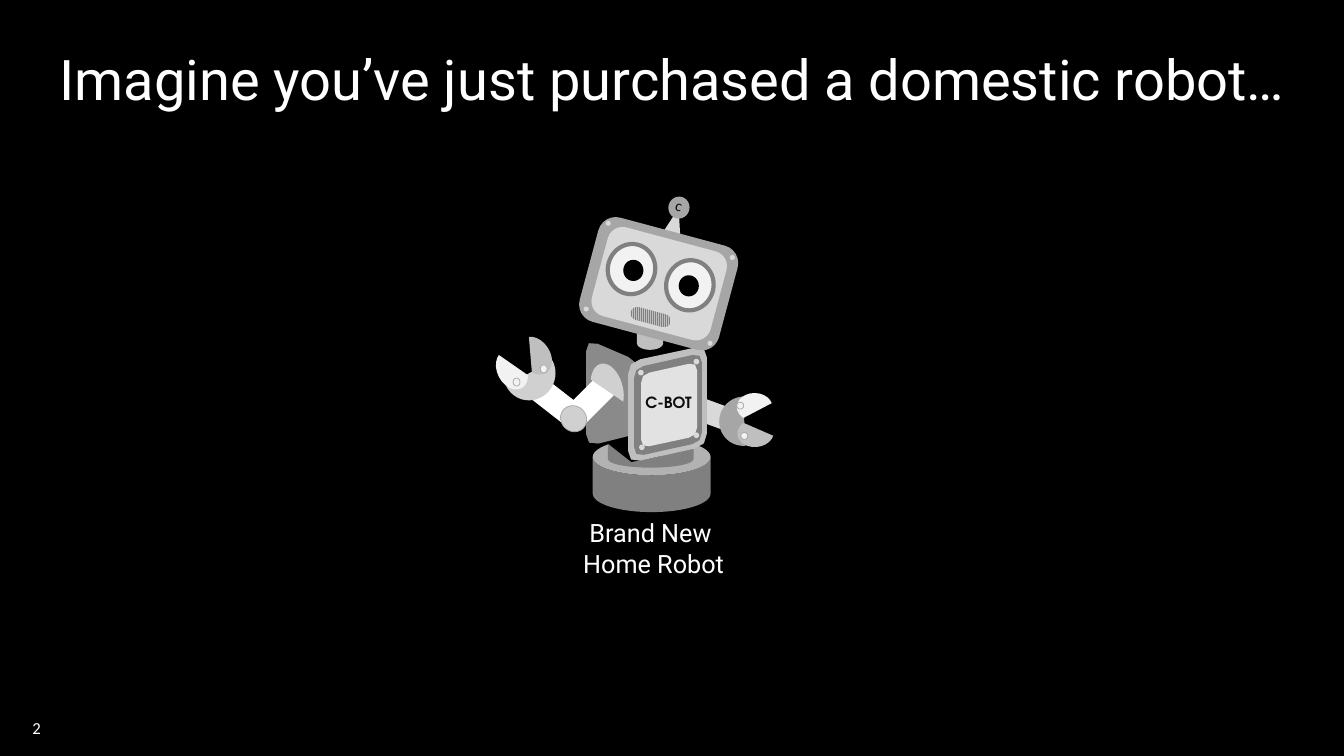
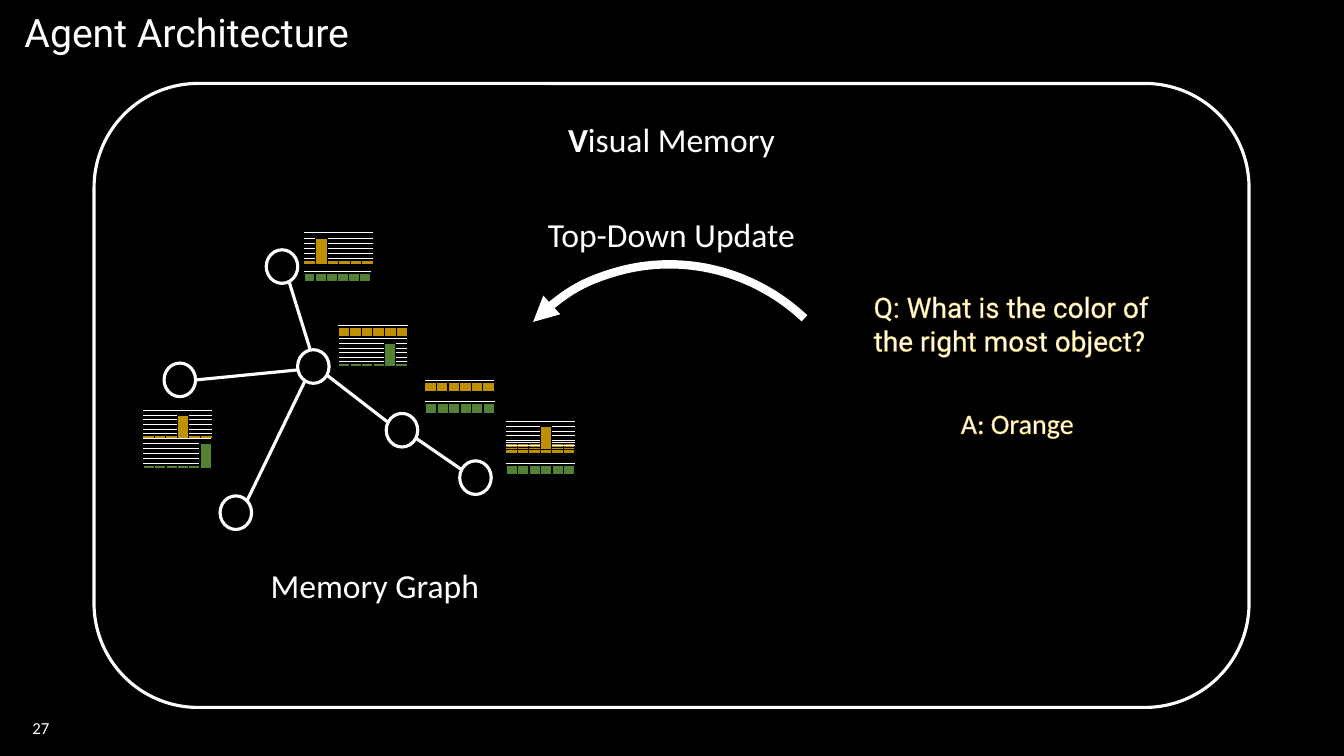
from dataclasses import dataclass
from typing import Any, Optional

from lxml.etree import SubElement
from pptx import Presentation
from pptx.chart.data import CategoryChartData
from pptx.dml.color import RGBColor
from pptx.enum.chart import XL_CHART_TYPE
from pptx.enum.dml import MSO_PATTERN
from pptx.enum.shapes import MSO_CONNECTOR, MSO_SHAPE
from pptx.enum.text import MSO_ANCHOR, PP_ALIGN
from pptx.oxml import parse_xml
from pptx.oxml.ns import nsdecls, qn
from pptx.util import Pt

COLORS = {
    "black": "000000", "ink": "0D0D0D", "white": "FFFFFF", "pale": "F2F2F2",
    "plate": "E2E2E2", "light": "D9D9D9", "lit": "D0D0D0", "silver": "BFBFBF",
    "mid": "A6A6A6", "dark": "808080", "side": "8A8A8A", "orange": "BF9000",
    "green": "548235", "gold": "EFB900",
}
RECT, ROUND, OVAL = MSO_SHAPE.RECTANGLE, MSO_SHAPE.ROUNDED_RECTANGLE, MSO_SHAPE.OVAL
CHORD, CAN = MSO_SHAPE.CHORD, MSO_SHAPE.CAN
PALM, CLAW, ELBOW, SHOULDER = (27, 136.04), (27, 153.86), (140.74, 136.04), (27, 139.89)
LABEL = {"name": "Calibri", "size": Pt(24)}
Point = tuple[float, float]


@dataclass
class Part:
    """A preset shape; lengths in points, rotation in degrees."""
    kind: MSO_SHAPE
    left: float
    top: float
    width: float
    height: float
    fill: Optional[str] = None
    rot: float = 0
    adj: tuple[float, ...] = ()
    flip: bool = False
    line: Optional[str] = None
    weight: float = 0


@dataclass
class Panel:
    """A slanted panel; a radius above 0 rounds its corners."""
    corners: list[Point]
    radius: float
    fill: str


@dataclass
class MemoryChart:
    """A six-bar chart; peak is the tall bar, or None when all are tall."""
    left: float
    top: float
    height: float
    color: str
    peak: Optional[int] = None
    width: float = 50.4


def rgb(name: str) -> RGBColor:
    return RGBColor.from_string(COLORS[name])


def set_format(target: Any, values: dict[str, Any]) -> None:
    for key, value in values.items():
        setattr(target, key, value)


def add_run(p: Any, text: str, font: dict[str, Any], color: str = "white",
            outline: Optional[str] = None) -> None:
    r = p.add_run()
    r.text = text
    set_format(r.font, font)
    r.font.color.rgb = rgb(color)
    if outline:
        r.font._element.insert(0, parse_xml(
            f'<a:ln {nsdecls("a")} w="{Pt(0.75)}"><a:solidFill>'
            f'<a:srgbClr val="{COLORS[outline]}"/></a:solidFill></a:ln>'))


def add_text(s: Any, lines: list[str], box: tuple[float, ...], font: dict[str, Any],
             color: str = "white", align: PP_ALIGN = PP_ALIGN.LEFT,
             anchor: MSO_ANCHOR = MSO_ANCHOR.TOP, wrap: bool = True, rot: float = 0,
             spacing: Optional[float] = None, outline: Optional[str] = None) -> None:
    sp = s.shapes.add_textbox(*map(Pt, box))
    sp.rotation = rot
    tf = sp.text_frame
    set_format(tf, {"word_wrap": wrap, "vertical_anchor": anchor})
    for i, text in enumerate(lines):
        p = tf.add_paragraph() if i else tf.paragraphs[0]
        set_format(p, {"alignment": align, "line_spacing": spacing})
        add_run(p, text, font, color, outline)


def paint(sp: Any, fill: Optional[str], line: Optional[str] = None, weight: float = 0) -> None:
    sp.shadow.inherit = False
    if fill:
        sp.fill.solid()
        sp.fill.fore_color.rgb = rgb(fill)
    else:
        sp.fill.background()
    if line:
        sp.line.color.rgb = rgb(line)
        sp.line.width = Pt(weight)
    else:
        sp.line.fill.background()


def add_part(s: Any, part: Part) -> Any:
    sp = s.shapes.add_shape(part.kind, *map(Pt, (part.left, part.top, part.width, part.height)))
    sp.rotation = part.rot
    for i, value in enumerate(part.adj):
        sp.adjustments[i] = value
    if part.flip:
        sp._element.spPr.find(qn("a:xfrm")).set("flipH", "1")
    paint(sp, part.fill, part.line, part.weight)
    return sp


def toward(a: Point, b: Point, distance: float) -> Point:
    length = ((b[0] - a[0]) ** 2 + (b[1] - a[1]) ** 2) ** 0.5
    return tuple(m + (n - m) * distance / length for m, n in zip(a, b))


def add_panel(s: Any, panel: Panel) -> None:
    outline, c = [], panel.corners
    for i, corner in enumerate(c):
        if not panel.radius:
            outline.append(corner)
            continue
        start = toward(corner, c[i - 1], panel.radius)
        end = toward(corner, c[(i + 1) % len(c)], panel.radius)
        bend = tuple((a + 2 * b + d) / 4 for a, b, d in zip(start, corner, end))
        outline += [start, bend, end]
    points = [(Pt(x), Pt(y)) for x, y in outline]
    builder = s.shapes.build_freeform(*points[0], scale=1.0)
    builder.add_line_segments(points[1:], close=True)
    paint(builder.convert_to_shape(), panel.fill)


def add_edge(s: Any, start: Point, end: Point) -> None:
    sp = s.shapes.add_connector(MSO_CONNECTOR.STRAIGHT, *map(Pt, start + end))
    sp.line.color.rgb = rgb("white")
    sp.line.width = Pt(2.25)
    SubElement(sp._element.spPr, qn("a:effectLst"))


def add_memory_chart(s: Any, item: MemoryChart) -> None:
    data = CategoryChartData()
    data.categories = [str(n) for n in range(1, 7)]
    data.add_series("Series 1", [100 if item.peak in (None, n) else 12 for n in range(1, 7)])
    chart = s.shapes.add_chart(XL_CHART_TYPE.COLUMN_CLUSTERED, *map(
        Pt, (item.left, item.top, item.width, item.height)), data).chart
    set_format(chart, {"has_legend": False, "has_title": False})
    set_format(chart.font, {"name": "Calibri", "size": Pt(10)})
    chart.font.color.rgb = rgb("white")
    green = item.color == "green"
    plot = chart.plots[0]
    set_format(plot, {"gap_width": 0, "overlap": -17 if green else 0,
                      "vary_by_categories": False})
    fmt = plot.series[0].format
    fmt.fill.solid()
    fmt.fill.fore_color.rgb = rgb(item.color)
    fmt.line.color.rgb = rgb("black")
    fmt.line.width = Pt(1 if green else 0.75)
    chart.value_axis.has_major_gridlines = True
    grid = chart.value_axis.major_gridlines.format.line
    grid.color.rgb = rgb("white")
    grid.width = Pt(0.75)
    chart.category_axis.visible = chart.value_axis.visible = False
    # Plot fills the whole frame, on a clear background
    area = chart._chartSpace.chart.plotArea
    for old in area.findall(qn("c:layout")):
        area.remove(old)
    sizes = "".join(f'<c:{k} val="{v}"/>' for k, v in (
        ("layoutTarget", "inner"), ("xMode", "edge"), ("yMode", "edge"),
        ("x", 0), ("y", 0), ("w", 1), ("h", 1)))
    area.insert(0, parse_xml(f'<c:layout {nsdecls("c")}><c:manualLayout>{sizes}'
                             '</c:manualLayout></c:layout>'))
    clear = f'<c:spPr {nsdecls("c", "a")}><a:noFill/><a:ln><a:noFill/></a:ln></c:spPr>'
    border = (f'<c:spPr {nsdecls("c", "a")}><a:noFill/><a:ln w="{Pt(0.75)}"><a:solidFill>'
              f'<a:srgbClr val="{COLORS["black"]}"/></a:solidFill></a:ln></c:spPr>')
    area.append(parse_xml(clear))
    chart._chartSpace.chart.addnext(parse_xml(border if green else clear))


def new_slide(prs: Any, number: str, title: str, box: tuple[float, ...], size: float,
              align: PP_ALIGN) -> Any:
    s = prs.slides.add_slide(prs.slide_layouts[6])
    s.background.fill.solid()
    s.background.fill.fore_color.rgb = rgb("black")
    add_text(s, [title], box, {"name": "Roboto", "size": Pt(size)}, align=align,
             anchor=MSO_ANCHOR.MIDDLE, spacing=0.9)
    add_text(s, [number], (16, 505.4, 216, 28.8), {"name": "Calibri", "size": Pt(12)},
             anchor=MSO_ANCHOR.MIDDLE)
    return s


def dots(places: list[Point], width: float, height: float, fill: str, **more: Any) -> list[Part]:
    return [Part(OVAL, x, y, width, height, fill, **more) for x, y in places]


RIGHT_ARM_AND_BASE = [
    Part(RECT, 493.9, 286.6, 26.6, 16.6, "light", 20.1, flip=True),
    Part(CHORD, 513.6, 283.3, 35.5, 35, "mid", 132.9, PALM, True),
    Part(CHORD, 529, 278, 20, 25.5, "pale", 90.7, CLAW),
    Part(CHORD, 529.7, 296.3, 20, 26, "silver", 85.2, CLAW, True),
    *dots([(529.2, 308.9), (526.3, 287.3)], 5, 5, "pale", line="mid", weight=0.5),
    Part(CAN, 423.4, 313.2, 84.2, 52.6, "dark", adj=(0.5,)),
    Part(CAN, 434.2, 309.6, 61.2, 24.5, "dark", adj=(0.5,)),
]
BODY = [
    Panel([(428, 312), (457, 306), (471, 326), (451, 330)], 0, "black"),
    Panel([(428, 244), (478, 233), (500, 249), (457, 257)], 0, "black"),
    Panel([(418.6, 242), (457, 258.5), (457, 309.5), (418.6, 319)], 9, "side"),
    Panel([(448.6, 258.5), (505, 246.5), (505, 318.5), (448.6, 331)], 9, "silver"),
    Panel([(452.9, 263), (501.4, 252), (501.4, 315.7), (452.9, 326.4)], 7, "dark"),
    Panel([(457.9, 267.5), (497.9, 258.6), (497.9, 311.4), (457.9, 320)], 6, "plate"),
]
LEFT_ARM_AND_HEAD = [
    *dots([(455.8, 264.2), (456.5, 317.5), (495.4, 308.9), (495.4, 256.3)], 4, 4, "light"),
    Part(CAN, 455, 225.4, 18.7, 24.5, "silver", adj=(0.5,)),
    Part(RECT, 383, 278.6, 28.8, 18, "white", 37.9),
    Part(ROUND, 397.4, 277.9, 47.5, 18, "white", 315, (0.5,)),
    Part(CHORD, 359, 248.2, 38.4, 37.2, "lit", 285, PALM),
    Part(CHORD, 355.2, 249.8, 21, 29.2, "pale", 332.8, CLAW),
    Part(CHORD, 372, 239.5, 21, 29.2, "silver", 327.2, CLAW, True),
    Part(CHORD, 400.8, 289.4, 18, 19.4, "lit", 315, ELBOW, line="mid", weight=0.5),
    Part(CHORD, 422.6, 259.2, 22.3, 37.4, "lit", 165, SHOULDER),
    *dots([(366.5, 270), (385.9, 260.6)], 5, 5.8, "pale", line="mid", weight=0.5),
    Part(MSO_SHAPE.ISOSCELES_TRIANGLE, 475.2, 148.3, 13.7, 20.9, "light", 15),
    Part(ROUND, 419, 164.2, 103, 77, "mid", 15),
    Part(ROUND, 427, 169.9, 87.8, 65.5, "light", 15),
    *dots([(432.7, 157.7), (416.9, 218.9), (521.3, 182.2), (505.4, 243.4)], 3.6, 3.6, "light",
          rot=15),
    *dots([(434.2, 174.2), (475.9, 185.8)], 33.8, 36, "pale", rot=15, line="dark", weight=3),
    *dots([(484.8, 196.6), (445.2, 185.6)], 14.4, 15.1, "black"),
    Part(OVAL, 477.4, 140.4, 15.1, 15.8, "mid", 15),
]
NODES = [(190.2, 178.4), (275.9, 295.3), (117.2, 259.3),
         (328.4, 329.2), (157.2, 354.2), (212.6, 249.8)]
EDGES = [((206.4, 200.9), (221.6, 249.8)), ((213.1, 264.2), (139.7, 271.4)),
         ((218.2, 271.4), (176.4, 357.8)), ((233.3, 267.8), (277.2, 301.7)),
         ((329.8, 335.5), (297.4, 313.2))]
CHARTS = [
    MemoryChart(303.4, 286.6, 9.2, "green"), MemoryChart(303.1, 271.4, 8.6, "orange"),
    MemoryChart(360.9, 330.6, 9.2, "green"), MemoryChart(360.7, 315.4, 8.6, "orange"),
    MemoryChart(101.5, 292.8, 20.9, "orange", 4), MemoryChart(102, 313, 22, "green", 6, 49.4),
    MemoryChart(216.7, 193.9, 7.7, "green", width=48.6), MemoryChart(216.7, 166, 23, "orange", 2),
    MemoryChart(241.2, 232, 8.6, "orange"), MemoryChart(241.4, 241.7, 20.6, "green", 5, 50),
    MemoryChart(360.7, 300.8, 20.9, "orange", 4),
]


def robot_slide(prs: Any) -> None:
    s = new_slide(prs, "2", "Imagine you’ve just purchased a domestic robot…",
                  (0, 6.5, 960, 104.4), 40, PP_ALIGN.CENTER)
    for part in RIGHT_ARM_AND_BASE:
        add_part(s, part)
    for panel in BODY:
        add_panel(s, panel)
    for part in LEFT_ARM_AND_HEAD:
        add_part(s, part)
    # Mouth grille
    mouth = add_part(s, Part(ROUND, 450, 221.8, 29.5, 9.4, "silver", 15, (0.5,)))
    mouth.fill.patterned()
    mouth.fill.pattern = MSO_PATTERN.LIGHT_VERTICAL
    mouth.fill.fore_color.rgb = rgb("dark")
    mouth.fill.back_color.rgb = rgb("silver")
    # Lettering
    add_text(s, ["C-BOT"], (440.5, 277.2, 74, 20.9),
             {"name": "TeX Gyre Adventor", "size": Pt(11), "bold": True}, "ink", PP_ALIGN.CENTER)
    add_text(s, ["c"], (475.6, 136.3, 19.4, 20.9), {"name": "Calibri", "size": Pt(11)},
             "ink", wrap=False, rot=15)
    add_text(s, ["Brand New ", "Home Robot"], (408.2, 366.3, 117.4, 51.1),
             {"name": "Roboto", "size": Pt(18)}, align=PP_ALIGN.CENTER, wrap=False)


def agent_slide(prs: Any) -> None:
    s = new_slide(prs, "27", "Agent Architecture", (10.4, 16.2, 960, 17.3), 28, PP_ALIGN.LEFT)
    frame = add_part(s, Part(ROUND, 67.2, 59.6, 825, 445.7, "black", line="white", weight=2.25))
    frame.text_frame.vertical_anchor = MSO_ANCHOR.TOP
    p = frame.text_frame.paragraphs[0]
    p.alignment = PP_ALIGN.CENTER
    add_run(p, "V", {**LABEL, "bold": True})
    add_run(p, "isual Memory", LABEL)
    # Memory graph
    add_text(s, ["Memory Graph"], (186.3, 400, 164.9, 36), LABEL, wrap=False)
    for x, y in NODES:
        add_part(s, Part(OVAL, x, y, 22.5, 24, line="white", weight=2.25))
    for start, end in EDGES:
        add_edge(s, start, end)
    for item in CHARTS:
        add_memory_chart(s, item)
    # Update arrow
    arc = add_part(s, Part(MSO_SHAPE.ARC, 342, 190.3, 278.6, 272.2, None, 43.3,
                           (162, 215.68), True, "white", 6))
    SubElement(arc.line._get_or_add_ln(), qn("a:tailEnd"), type="triangle")
    add_text(s, ["Top-Down Update"], (384.3, 149, 193, 36), LABEL, wrap=False)
    # Question and answer
    add_text(s, ["A: Orange"], (679.2, 286.4, 101.5, 31.7),
             {"name": "Calibri", "size": Pt(20)}, outline="gold")
    add_text(s, ["Q: What is the color of the right most object?"], (617, 203.5, 226.1, 56.9),
             {"name": "Roboto", "size": Pt(20)}, outline="gold")


def main() -> None:
    prs = Presentation()
    prs.slide_width, prs.slide_height = Pt(960), Pt(540)
    robot_slide(prs)
    agent_slide(prs)
    prs.save("out.pptx")


if __name__ == "__main__":
    main()
